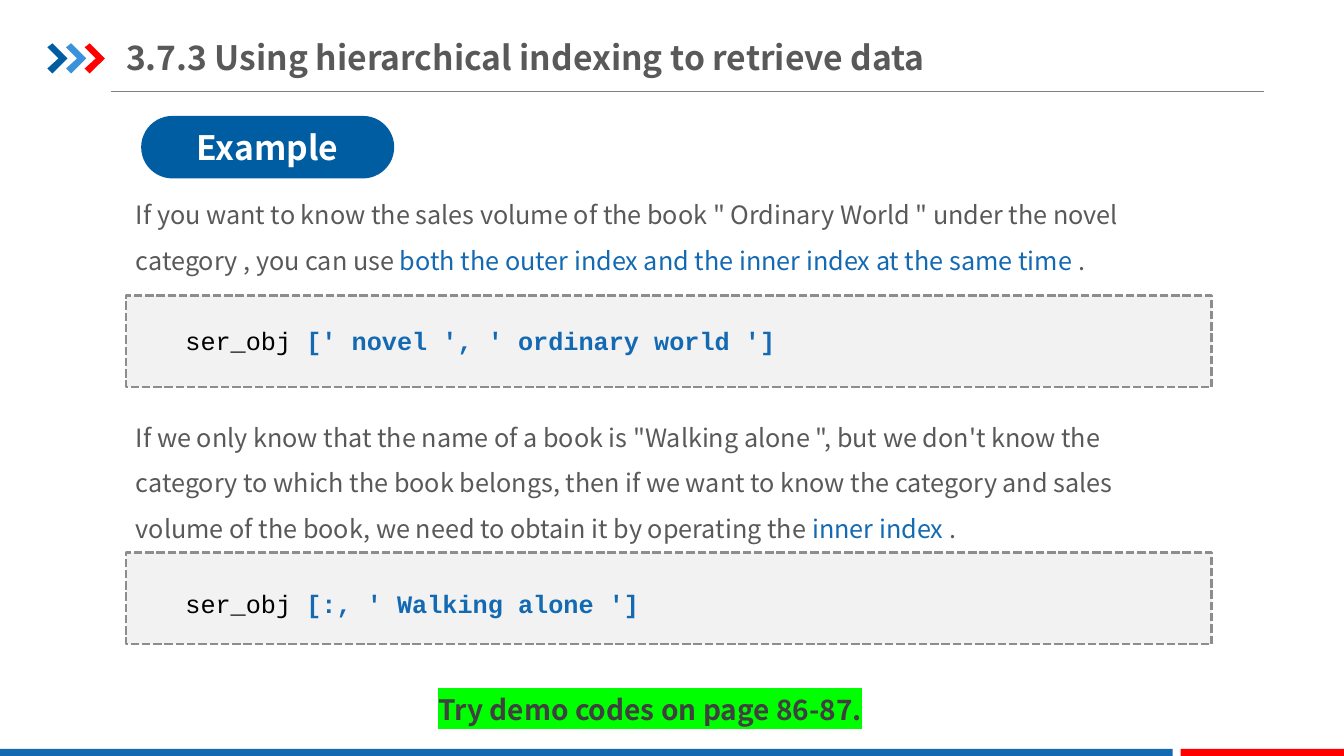
from dataclasses import dataclass

from lxml import etree
from pptx import Presentation
from pptx.dml.color import RGBColor
from pptx.enum.dml import MSO_LINE
from pptx.enum.shapes import MSO_CONNECTOR, MSO_SHAPE
from pptx.enum.text import MSO_ANCHOR, MSO_AUTO_SIZE, PP_ALIGN
from pptx.oxml.ns import qn
from pptx.util import Inches, Pt

RECT, PILL = MSO_SHAPE.RECTANGLE, MSO_SHAPE.ROUNDED_RECTANGLE
STRAIGHT, DASH = MSO_CONNECTOR.STRAIGHT, MSO_LINE.SQUARE_DOT
LEFT, CENTER = PP_ALIGN.LEFT, PP_ALIGN.CENTER
TOP, MIDDLE = MSO_ANCHOR.TOP, MSO_ANCHOR.MIDDLE
GROW, FIXED = MSO_AUTO_SIZE.SHAPE_TO_FIT_TEXT, MSO_AUTO_SIZE.NONE

SANS, MONO = "Noto Sans CJK SC", "Courier New"
NAVY, BLUE, SKY, RED = "005DA2", "1369B2", "3992DB", "FF0000"
WHITE, BLACK, GRAY, DARK = "FFFFFF", "000000", "595959", "404040"
RULE, PANEL, BORDER, GREEN = "808080", "F2F2F2", "8D8D8D", "00FF00"

BODY_LEFT, BODY_WIDTH = 1.25, 10.77


@dataclass
class Span:
    text: str
    color: str
    bold: bool = False


@dataclass
class Example:
    text_top: float
    text_height: float
    explanation: list[Span]
    panel_top: float
    code_top: float
    code: str


EXAMPLES = [
    Example(1.78, 0.96, [
        Span('If you want to know the sales volume of the book " Ordinary World " '
             "under the novel category , you can use ", GRAY),
        Span("both the outer index and the inner index at the same time ", BLUE),
        Span(".", GRAY),
    ], 2.93, 3.18, "[' novel ', ' ordinary world ']"),
    Example(3.99, 1.41, [
        Span('If we only know that the name of a book is "Walking alone ", but we '
             "don't know the category to which the book belongs, then if we want to "
             "know the category and sales volume of the book, we need to obtain it by "
             "operating the ", GRAY),
        Span("inner index ", BLUE),
        Span(".", GRAY),
    ], 5.48, 5.79, "[:, ' Walking alone ']"),
]


def rgb(color: str) -> RGBColor:
    return RGBColor.from_string(color)


def add_block(slide, kind, left: float, top: float, width: float, height: float, fill: str):
    block = slide.shapes.add_shape(kind, Inches(left), Inches(top), Inches(width), Inches(height))
    block.shadow.inherit = False
    block.fill.solid()
    block.fill.fore_color.rgb = rgb(fill)
    block.line.fill.background()
    return block


def write(box, spans: list[Span], *, size: float = 18, font: str = SANS, align=LEFT,
          anchor=TOP, spacing: float = 1.0, highlight: str = "") -> None:
    frame = box.text_frame
    frame.word_wrap = True
    frame.vertical_anchor = anchor
    para = frame.paragraphs[0]
    para.alignment = align
    para.line_spacing = spacing
    for span in spans:
        run = para.add_run()
        run.text = span.text
        run.font.size = Pt(size)
        run.font.bold = span.bold
        run.font.color.rgb = rgb(span.color)
        if highlight:
            mark = etree.SubElement(run.font._element, qn("a:highlight"))
            etree.SubElement(mark, qn("a:srgbClr"), val=highlight)
        run.font.name = font


def add_text(slide, left: float, top: float, width: float, height: float,
             spans: list[Span], *, grow: bool = True, **style):
    box = slide.shapes.add_textbox(Inches(left), Inches(top), Inches(width), Inches(height))
    write(box, spans, **style)
    box.text_frame.auto_size = GROW if grow else FIXED
    return box


def add_chevron(slide, left: float, color: str) -> None:
    outline = [(0, 0.04), (0.05, 0), (0.2, 0.15), (0.05, 0.3), (0, 0.25), (0.11, 0.15)]
    points = [(Inches(left + x), Inches(0.43 + y)) for x, y in outline]
    builder = slide.shapes.build_freeform(*points[0], scale=1.0)
    builder.add_line_segments(points[1:], close=True)
    chevron = builder.convert_to_shape()
    chevron.shadow.inherit = False
    chevron.fill.solid()
    chevron.fill.fore_color.rgb = rgb(color)
    chevron.line.fill.background()


def add_frame(slide) -> None:
    # Rule under the heading
    rule = slide.shapes.add_connector(
        STRAIGHT, Inches(1.1), Inches(0.91), Inches(12.54), Inches(0.91))
    rule.line.color.rgb = rgb(RULE)
    rule.line.width = Pt(0.75)
    etree.SubElement(rule._element.spPr, qn("a:effectLst"))

    # Chevrons beside the heading
    for index, color in enumerate((NAVY, SKY, RED)):
        add_chevron(slide, 0.47 + 0.185 * index, color)

    # Footer bars
    add_block(slide, RECT, 0, 7.43, 11.63, 0.07, BLUE)
    add_block(slide, RECT, 11.71, 7.43, 1.62, 0.07, RED)


def add_example(slide, example: Example) -> None:
    add_text(slide, BODY_LEFT, example.text_top, BODY_WIDTH, example.text_height,
             example.explanation, spacing=1.5)
    panel = add_block(slide, RECT, BODY_LEFT, example.panel_top, BODY_WIDTH, 0.91, PANEL)
    panel.line.color.rgb = rgb(BORDER)
    panel.line.width = Pt(2)
    panel.line.dash_style = DASH
    code = [Span("ser_obj ", BLACK), Span(example.code, BLUE, bold=True)]
    add_text(slide, 1.74, example.code_top, 6.21, 0.4, code, font=MONO)


def main() -> None:
    deck = Presentation()
    deck.slide_width, deck.slide_height = Inches(13.33), Inches(7.5)
    slide = deck.slides.add_slide(deck.slide_layouts[6])
    add_frame(slide)

    # Heading
    heading = add_text(
        slide, BODY_LEFT, 0.29, 8.49, 0.55,
        [Span("3.7.3 Using hierarchical indexing to retrieve data", GRAY, bold=True)],
        grow=False, size=24, anchor=MIDDLE)
    heading.text_frame.margin_left = heading.text_frame.margin_right = 0

    # Example label
    label = add_block(slide, PILL, 1.4, 1.15, 2.51, 0.62, NAVY)
    label.adjustments[0] = 0.5
    write(label, [Span("Example", WHITE, bold=True)], size=24, align=CENTER, anchor=MIDDLE)

    # Explanations with their code
    for example in EXAMPLES:
        add_example(slide, example)

    # Closing prompt
    add_text(slide, 3.3, 6.82, 6.3, 0.44,
             [Span("Try demo codes on page 86-87.", DARK, bold=True)],
             size=20, align=CENTER, highlight=GREEN)

    deck.save("out.pptx")


if __name__ == "__main__":
    main()
